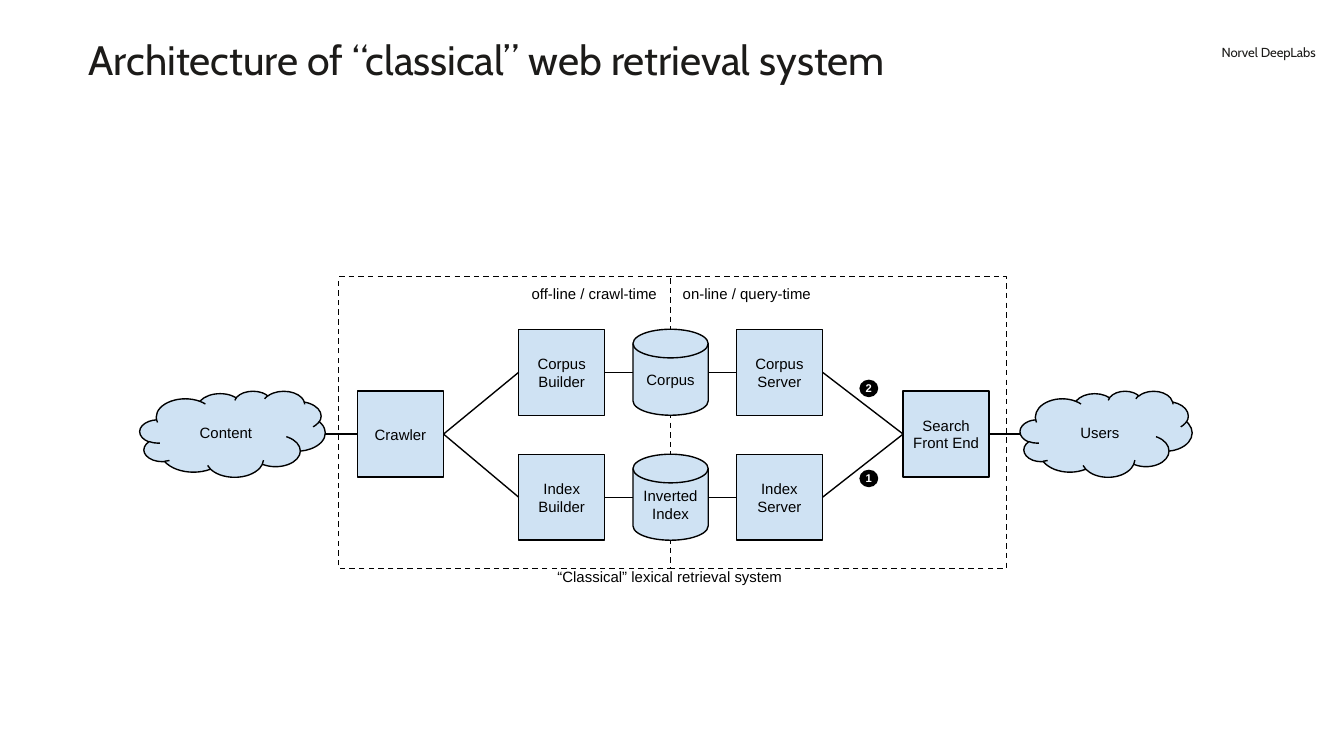
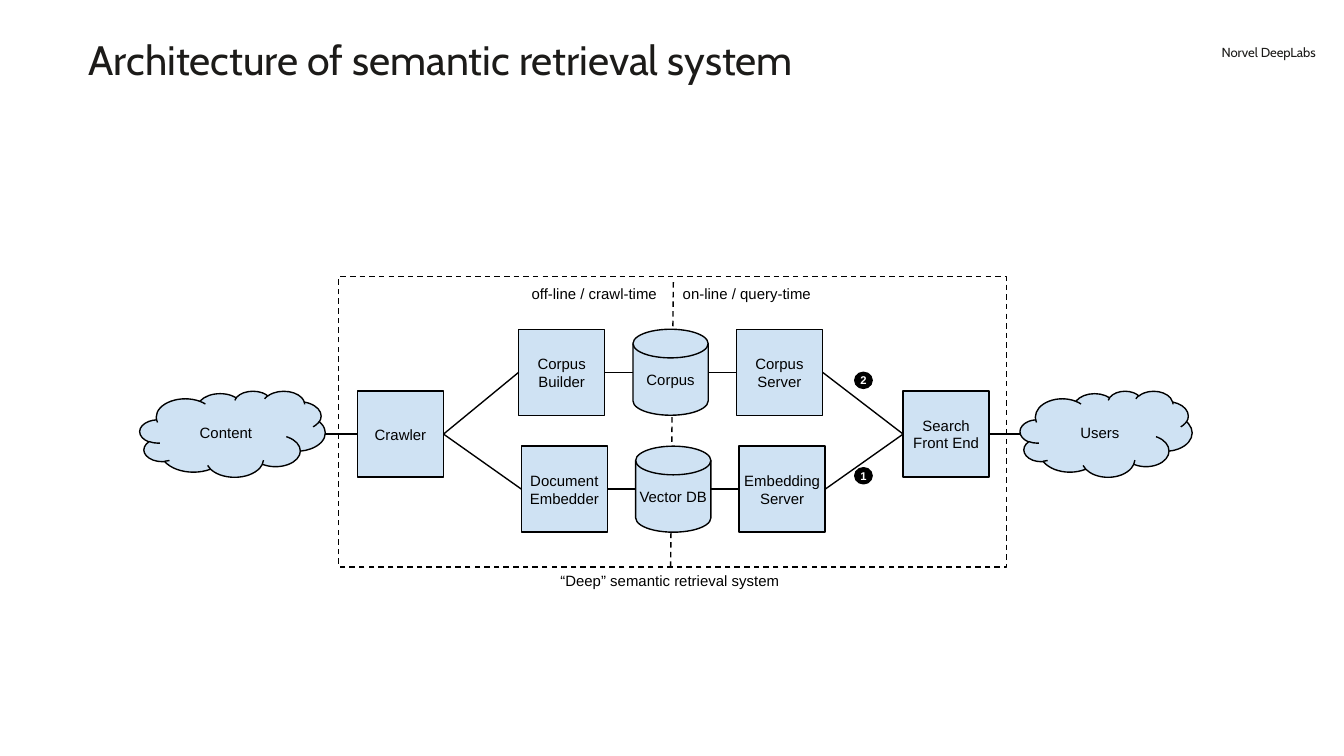
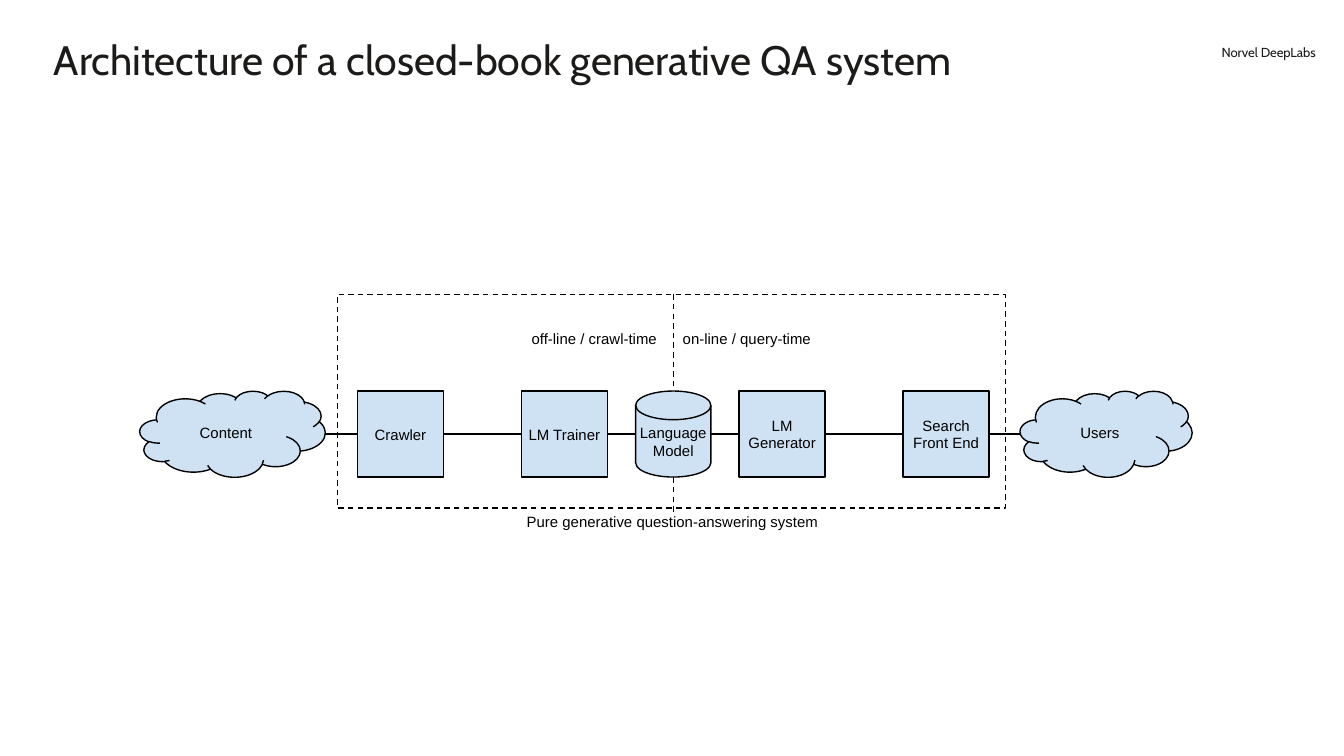
from lxml import etree
from pptx import Presentation
from pptx import util as u
from pptx.dml.color import RGBColor
from pptx.enum import dml, shapes, text
from pptx.oxml import ns

BRAND = "Norvel DeepLabs"
PHASES = ("off-line / crawl-time", "on-line / query-time")

# rows: (top, shift from the column, labels of builder, store and server)
# divider: (top x, top y, bottom x, bottom y); badges: (label, left, top)
SYSTEMS = [
    dict(
        title="Architecture of “classical” web retrieval system",
        title_box=(0.66, 0.3, 7.19, 0.33),
        rows=[(2.45, 0, ("Corpus Builder", "Corpus", "Corpus Server")),
              (3.38, 0, ("Index Builder", "Inverted Index", "Index\nServer"))],
        divider=(4.99, 2.07, 4.99, 4.22),
        phase_top=2.06,
        frame=(2.52, 2.06, 4.97, 2.17),
        caption="“Classical” lexical retrieval system",
        caption_at=(2.5, 4.22),
        badges=[("1", 6.4, 3.5), ("2", 6.4, 2.83)],
    ),
    dict(
        title="Architecture of semantic retrieval system",
        title_box=(0.66, 0.3, 7.19, 0.33),
        rows=[(2.45, 0, ("Corpus Builder", "Corpus", "Corpus Server")),
              (3.32, 0.02, ("Document\nEmbedder", "Vector DB", "Embedding Server"))],
        divider=(5.01, 2.1, 4.99, 4.22),
        phase_top=2.06,
        frame=(2.52, 2.06, 4.97, 2.16),
        caption="“Deep” semantic retrieval system",
        caption_at=(2.5, 4.25),
        badges=[("1", 6.36, 3.48), ("2", 6.36, 2.77)],
    ),
    dict(
        title="Architecture of a closed-book generative QA system",
        title_box=(0.4, 0.3, 8.52, 0.33),
        rows=[(2.91, 0.02, ("LM Trainer", "Language Model", "LM Generator"))],
        divider=(5.01, 2.19, 5.01, 3.81),
        phase_top=2.39,
        frame=(2.51, 2.19, 4.97, 1.59),
        caption="Pure generative question-answering system",
        caption_at=(2.52, 3.81),
        badges=[],
    ),
]

COLORS = dict(ink="1C1B19", black="000000", white="FFFFFF", node="CFE2F3")
RECT = shapes.MSO_SHAPE.RECTANGLE
DISK = shapes.MSO_SHAPE.FLOWCHART_MAGNETIC_DISK
CLOUD = shapes.MSO_SHAPE.CLOUD
OVAL = shapes.MSO_SHAPE.OVAL
LEFT, CENTER, RIGHT = text.PP_ALIGN.LEFT, text.PP_ALIGN.CENTER, text.PP_ALIGN.RIGHT
TOP, MIDDLE, BOTTOM = (text.MSO_ANCHOR.TOP, text.MSO_ANCHOR.MIDDLE,
                       text.MSO_ANCHOR.BOTTOM)

SLIDE_WIDTH = 10
SLIDE_HEIGHT = SLIDE_WIDTH * 9 / 16
NODE = 0.64
MAIN_TOP = 2.91
COLUMNS = [(3.86, NODE, RECT), (4.71, 0.56, DISK), (5.48, NODE, RECT)]


def color(name):
    return RGBColor.from_string(COLORS[name])


def inches(values):
    return [u.Inches(value) for value in values]


def write(shape, words, size=8, font="Arial", ink="black", bold=False,
          align=CENTER, anchor=MIDDLE, inset=0, spacing=None):
    frame = shape.text_frame
    frame.text = words
    frame.word_wrap = True
    frame.vertical_anchor = anchor
    frame.margin_left = frame.margin_right = u.Inches(inset)
    frame.margin_top = frame.margin_bottom = u.Inches(inset)
    for paragraph in frame.paragraphs:
        paragraph.alignment = align
        if spacing:
            paragraph.line_spacing = spacing
        paragraph.font.size = u.Pt(size)
        paragraph.font.name = font
        paragraph.font.bold = bold
        paragraph.font.color.rgb = color(ink)


def add_label(slide, box, words, **style):
    write(slide.shapes.add_textbox(*inches(box)), words, **style)


def set_line(line, dashed=False):
    line.color.rgb = color("black")
    line.width = u.Pt(0.75)
    if dashed:
        line.dash_style = dml.MSO_LINE.DASH


def add_node(slide, kind, box, words, fill="node", **style):
    node = slide.shapes.add_shape(kind, *inches(box))
    node.shadow.inherit = False
    node.fill.solid()
    node.fill.fore_color.rgb = color(fill)
    set_line(node.line)
    write(node, words, **style)
    return node


def add_line(slide, ends, dashed=False):
    line = slide.shapes.add_connector(shapes.MSO_CONNECTOR.STRAIGHT, *ends)
    set_line(line.line, dashed)
    etree.SubElement(line._element.spPr, ns.qn("a:effectLst"))
    return line


def link(slide, start, end):
    """Join the right side of start to the left side of end."""
    line = add_line(slide, (start.left + start.width, start.top + start.height // 2,
                            end.left, end.top + end.height // 2))
    if start.auto_shape_type == RECT:
        line.begin_connect(start, 3)
    if end.auto_shape_type == RECT:
        line.end_connect(end, 1)


def add_header(slide, system):
    title = slide.shapes.title
    title.left, title.top, title.width, title.height = inches(system["title_box"])
    write(title, system["title"], size=22, font="Cabin", ink="ink",
          align=LEFT, anchor=TOP, spacing=0.9)
    title.text_frame.auto_size = text.MSO_AUTO_SIZE.SHAPE_TO_FIT_TEXT
    add_label(slide, (7.89, 0.33, 1.9, 0.12), BRAND, size=7, font="Cabin",
              ink="ink", align=RIGHT, anchor=BOTTOM)


def add_system(slide, system):
    add_line(slide, inches(system["divider"]), dashed=True)

    content = add_node(slide, CLOUD, (1.04, MAIN_TOP, 1.38, NODE), "Content", inset=0.1)
    users = add_node(slide, CLOUD, (7.59, MAIN_TOP, 1.28, NODE), "Users", inset=0.1)
    crawler = add_node(slide, RECT, (2.66, MAIN_TOP, NODE, NODE), "Crawler")
    front_end = add_node(slide, RECT, (6.72, MAIN_TOP, NODE, NODE), "Search Front End")
    chains = []
    for top, shift, labels in system["rows"]:
        stages = [add_node(slide, kind, (left + shift, top, width, NODE), label)
                  for (left, width, kind), label in zip(COLUMNS, labels)]
        chains.append([crawler, *stages, front_end])

    for left, align, phase in zip((3.31, 5.08), (RIGHT, LEFT), PHASES):
        add_label(slide, (left, system["phase_top"], 1.58, 0.25), phase, align=align)

    for chain in [[content, crawler], *chains, [front_end, users]]:
        for start, end in zip(chain, chain[1:]):
            link(slide, start, end)

    frame = slide.shapes.add_shape(RECT, *inches(system["frame"]))
    frame.shadow.inherit = False
    frame.fill.background()
    set_line(frame.line, dashed=True)
    add_label(slide, (*system["caption_at"], 4.97, 0.14), system["caption"])

    for number, left, top in system["badges"]:
        add_node(slide, OVAL, (left, top, 0.13, 0.12), number, fill="black",
                 size=6, ink="white", bold=True)


def main():
    deck = Presentation()
    deck.slide_width, deck.slide_height = inches((SLIDE_WIDTH, SLIDE_HEIGHT))
    title_only = deck.slide_layouts[5]
    for system in SYSTEMS:
        slide = deck.slides.add_slide(title_only)
        add_header(slide, system)
        add_system(slide, system)
    deck.save("out.pptx")


if __name__ == "__main__":
    main()
